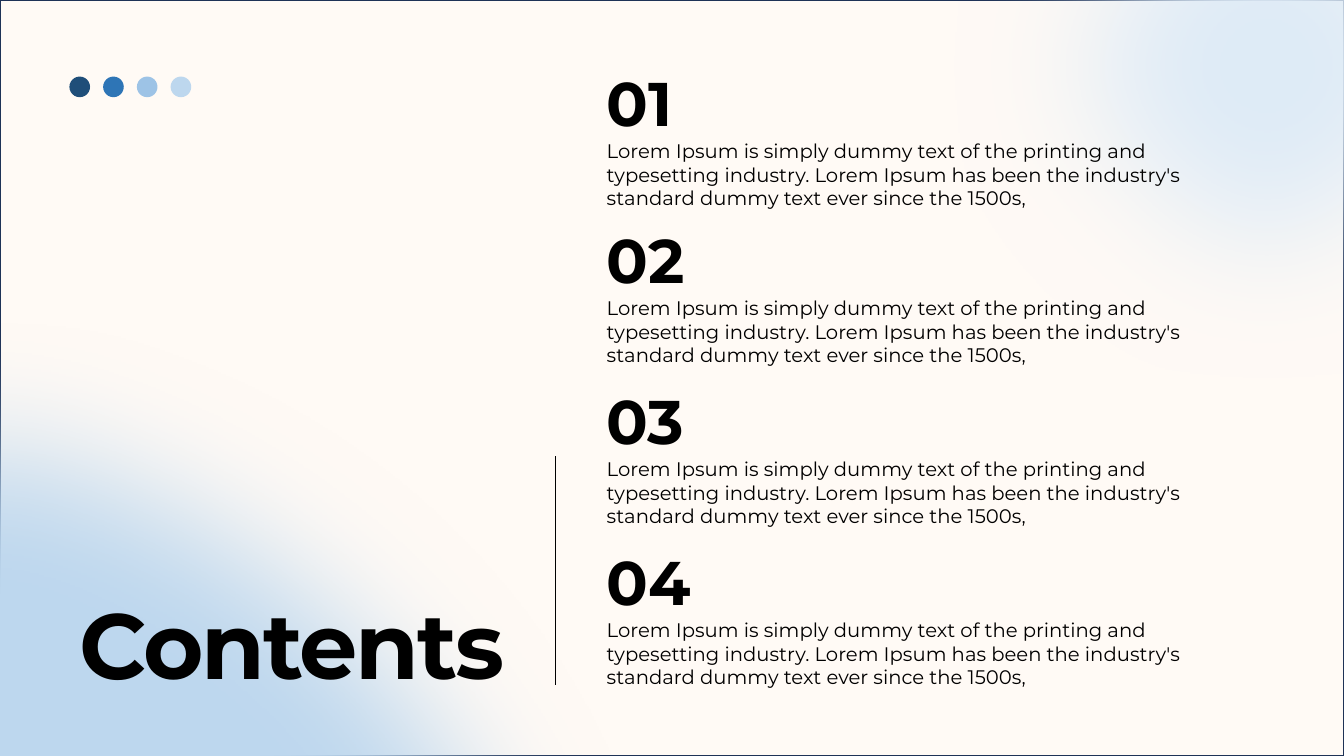
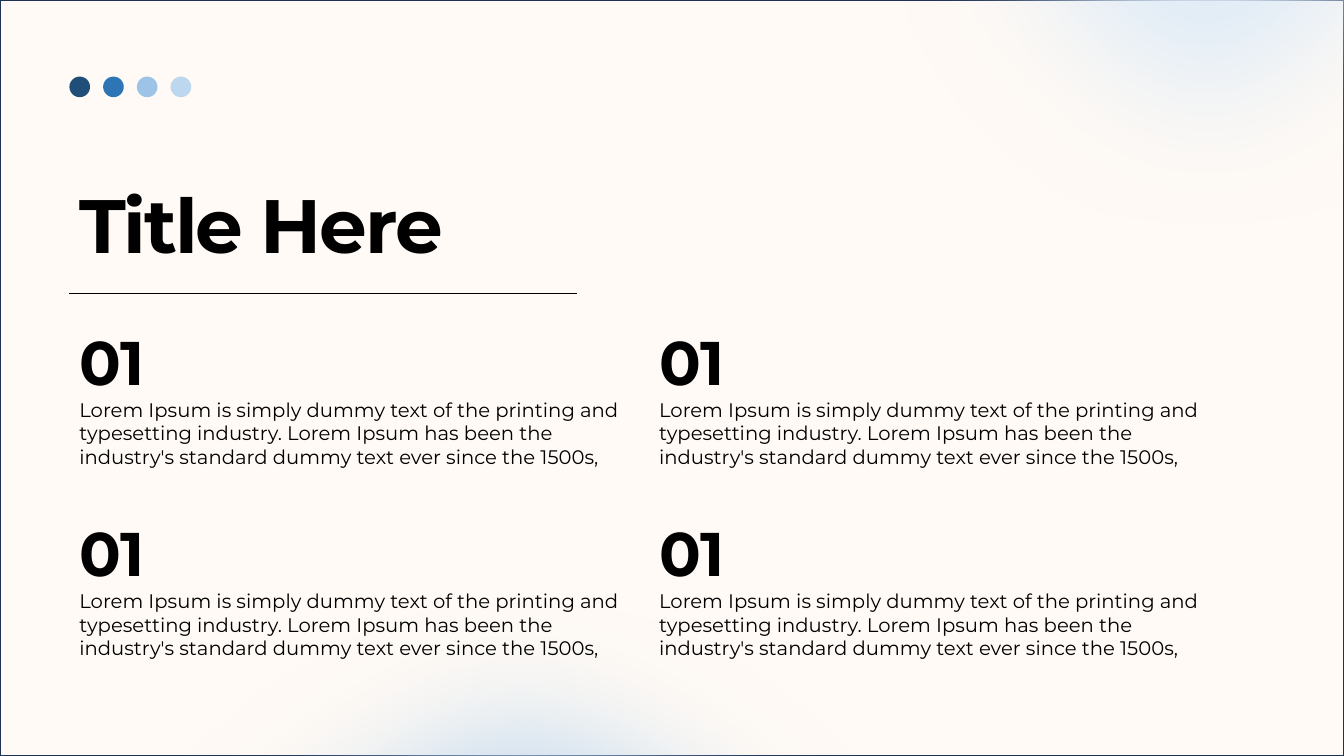
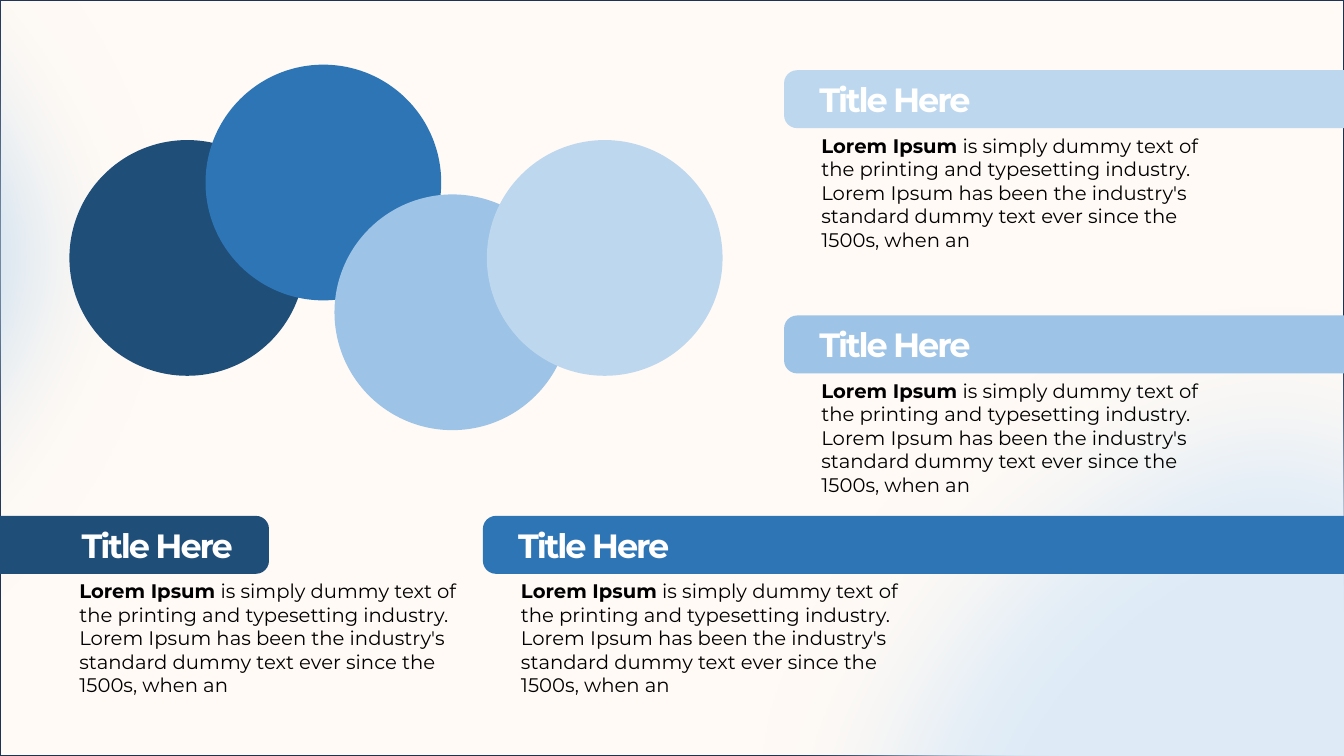
from dataclasses import dataclass
from itertools import product

from lxml import etree
from pptx import Presentation
from pptx.dml.color import RGBColor
from pptx.enum.shapes import MSO_CONNECTOR, MSO_SHAPE as SHAPE
from pptx.enum.text import MSO_AUTO_SIZE, PP_ALIGN as ALIGN
from pptx.oxml.ns import qn
from pptx.util import Cm, Pt

W, H = 33.87, 19.05
MARGIN = 1.75
FONT = "Montserrat"
COLORS = {
    "paper": "FFFAF5", "frame": "1E3256", "ink": "000000", "white": "FFFFFF",
    "navy": "1F4E79", "blue": "2E75B6", "sky": "9DC3E6", "ice": "BDD7EE",
    "mist": "DEEBF7",
}
SHADES = ("navy", "blue", "sky", "ice")
SOFT_EDGE = Pt(100)

LEAD = "Lorem Ipsum"
REST = (" is simply dummy text of the printing and typesetting industry. "
        "Lorem Ipsum has been the industry's standard dummy text ever since the 1500s,")


@dataclass
class Glow:
    x: float
    y: float
    size: float
    color: str


@dataclass
class Run:
    text: str
    size: float
    bold: bool = False
    color: str = "ink"
    spacing: int = 0  # hundredths of a point


@dataclass
class Card:
    color: str
    bar_x: float
    bar_y: float
    bar_w: float
    label_x: float
    body_x: float


# Shared drawing functions
def rgb(name: str) -> RGBColor:
    return RGBColor.from_string(COLORS[name])


def add_shape(s, kind, x: float, y: float, w: float, h: float, color: str):
    sp = s.shapes.add_shape(kind, Cm(x), Cm(y), Cm(w), Cm(h))
    sp.shadow.inherit = False
    sp.fill.solid()
    sp.fill.fore_color.rgb = rgb(color)
    sp.line.fill.background()
    return sp


def add_circle(s, x: float, y: float, size: float, color: str):
    return add_shape(s, SHAPE.OVAL, x, y, size, size, color)


def add_glow(s, glow: Glow) -> None:
    sp = add_circle(s, glow.x, glow.y, glow.size, glow.color)
    effects = sp.element.spPr.find(qn("a:effectLst"))
    etree.SubElement(effects, qn("a:softEdge")).set("rad", str(SOFT_EDGE))


def add_line(s, x1: float, y1: float, x2: float, y2: float) -> None:
    line = s.shapes.add_connector(MSO_CONNECTOR.STRAIGHT, Cm(x1), Cm(y1), Cm(x2), Cm(y2))
    line.line.color.rgb = rgb("ink")
    line.line.width = Pt(1)
    etree.SubElement(line.element.spPr, qn("a:effectLst"))


def add_text(s, x: float, y: float, w: float, h: float, paragraphs: list[list[Run]],
             align=ALIGN.LEFT, wrap: bool = True) -> None:
    tf = s.shapes.add_textbox(Cm(x), Cm(y), Cm(w), Cm(h)).text_frame
    tf.word_wrap = wrap
    tf.auto_size = MSO_AUTO_SIZE.SHAPE_TO_FIT_TEXT
    for i, runs in enumerate(paragraphs):
        p = tf.add_paragraph() if i else tf.paragraphs[0]
        p.alignment = align
        for run in runs:
            r = p.add_run()
            r.text = run.text
            r.font.name = FONT
            r.font.size = Pt(run.size)
            r.font.bold = run.bold
            r.font.color.rgb = rgb(run.color)
            if run.spacing:
                r.font._element.set("spc", str(run.spacing))


def add_title(s, text: str, size: float, y: float, w: float, h: float) -> None:
    add_text(s, MARGIN, y, w, h, [[Run(text, size, True, spacing=-150)]])


def add_numbered(s, number: str, x: float, y: float, w: float) -> None:
    add_text(s, x, y, w, 3.94, [[Run(number, 44, True)], [Run(LEAD + REST, 14)]])


def add_dots(s) -> None:
    for i, shade in enumerate(SHADES):
        add_circle(s, MARGIN + i * 0.85, 1.93, 0.52, shade)


def add_card(s, card: Card) -> None:
    bar = add_shape(s, SHAPE.ROUNDED_RECTANGLE, card.bar_x, card.bar_y,
                    card.bar_w, 1.46, card.color)
    bar.adjustments[0] = 0.225
    add_text(s, card.label_x, card.bar_y + 0.09, 4.37, 1.28,
             [[Run("Title Here", 24, True, "white", -150)]], ALIGN.CENTER, wrap=False)
    add_text(s, card.body_x, card.bar_y + 1.47, 10.49, 3.25,
             [[Run(LEAD, 14, True), Run(REST + " when an", 14)]])


def new_slide(prs, *glows: Glow):
    s = prs.slides.add_slide(prs.slide_layouts[6])
    paper = add_shape(s, SHAPE.RECTANGLE, 0, 0, W, H, "paper")
    paper.line.color.rgb = rgb("frame")
    paper.line.width = Pt(1)
    for glow in glows:
        add_glow(s, glow)
    return s


# Slides
def contents_slide(prs) -> None:
    s = new_slide(prs, Glow(22.96, -7.32, 17.96, "mist"), Glow(-18.14, 7.44, 35.74, "ice"))
    add_title(s, "Contents", 66, 14.66, 16.92, 3.07)
    add_line(s, 14, 17.25, 14, 11.48)
    add_dots(s)
    for i, y in enumerate((1.52, 5.48, 9.53, 13.59), 1):
        add_numbered(s, f"{i:02}", 15.04, y, 16.92)


def grid_slide(prs) -> None:
    s = new_slide(prs, Glow(21.44, -11.15, 17.96, "mist"), Glow(0.58, 14.33, 25.2, "ice"))
    add_title(s, "Title Here", 54, 4.37, 9.73, 2.57)
    add_line(s, MARGIN, 7.39, 14.53, 7.39)
    add_dots(s)
    for x, y in product((MARGIN, 16.36), (8.03, 12.86)):
        add_numbered(s, "01", x, y, 14.5)


def circles_slide(prs) -> None:
    s = new_slide(prs, Glow(18.24, 6.88, 27.71, "mist"), Glow(-20.62, -6.15, 25.2, "ice"))
    corners = ((MARGIN, 3.53), (5.18, 1.63), (8.43, 4.9), (12.27, 3.53))
    for (x, y), shade in zip(corners, SHADES):
        add_circle(s, x, y, 5.94, shade)
    for card in (
        Card("navy", -0.46, 13, 7.24, 1.78, MARGIN),
        Card("blue", 12.17, 13, 22.78, 12.78, 12.88),
        Card("sky", 19.76, 7.95, 15.77, 20.37, 20.45),
        Card("ice", 19.76, 1.77, 15.77, 20.37, 20.45),
    ):
        add_card(s, card)


def main() -> None:
    prs = Presentation()
    prs.slide_width, prs.slide_height = Cm(W), Cm(H)
    contents_slide(prs)
    grid_slide(prs)
    circles_slide(prs)
    prs.save("out.pptx")


if __name__ == "__main__":
    main()
